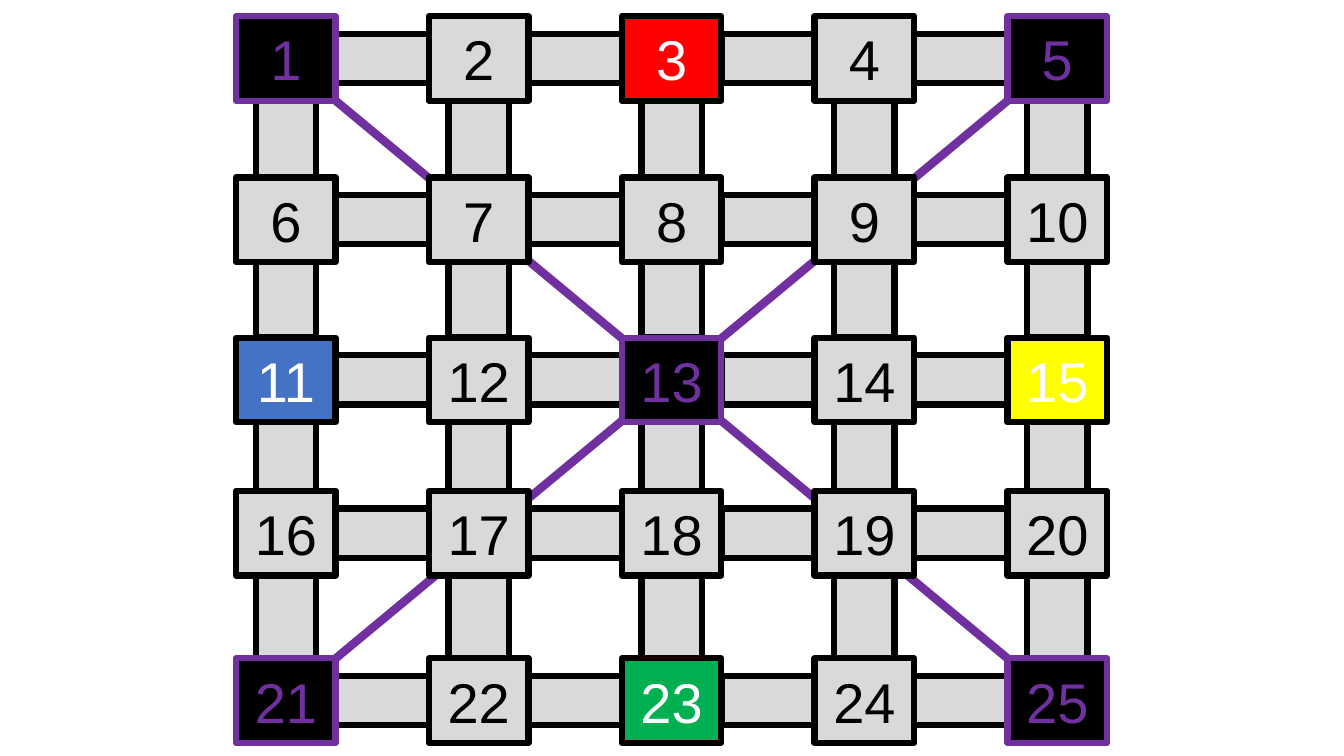
from dataclasses import dataclass
from pptx import Presentation
from pptx.dml.color import RGBColor
from pptx.enum.shapes import MSO_CONNECTOR, MSO_SHAPE
from pptx.enum.text import MSO_ANCHOR, PP_ALIGN
from pptx.oxml.ns import qn
from pptx.util import Cm, Pt
from lxml import etree

RECTANGLE = MSO_SHAPE.RECTANGLE
STRAIGHT = MSO_CONNECTOR.STRAIGHT
MIDDLE = MSO_ANCHOR.MIDDLE
CENTER = PP_ALIGN.CENTER


@dataclass(frozen=True)
class Theme:
    font: str = "Arial"
    size: float = 40
    outline: float = 4.5
    passage: float = 6
    floor: str = "D9D9D9"
    black: str = "000000"
    white: str = "FFFFFF"
    purple: str = "7030A0"
    red: str = "FF0000"
    blue: str = "4472C4"
    yellow: str = "FFFF00"
    green: str = "00B050"


THEME = Theme()

ROOMS = [
    [1, 2, 3, 4, 5],
    [6, 7, 8, 9, 10],
    [11, 12, 13, 14, 15],
    [16, 17, 18, 19, 20],
    [21, 22, 23, 24, 25],
]
START_ROOMS = {3: THEME.red, 11: THEME.blue, 15: THEME.yellow, 23: THEME.green}
SECRET_ROOMS = {1, 5, 13, 21, 25}

ROOM_WIDTH, ROOM_HEIGHT = 2.51, 2.13
HALL_WIDTH, HALL_HEIGHT = 1.52, 1.24
COLUMNS = [5.95 + 4.86 * column for column in range(5)]
ROWS = [0.41, 4.47, 8.51, 12.37, 16.59]

deck = Presentation()
deck.slide_width, deck.slide_height = Cm(33.87), Cm(19.05)
board = deck.slides.add_slide(deck.slide_layouts[6]).shapes


def write(tile, text, *, color, size=THEME.size, font=THEME.font):
    frame = tile.text_frame
    frame.vertical_anchor = MIDDLE
    label = frame.paragraphs[0]
    label.text = text
    label.alignment = CENTER
    label.font.name = font
    label.font.size = Pt(size)
    label.font.color.rgb = RGBColor.from_string(color)


def add_tile(left, top, width, height, fill=THEME.floor, outline=THEME.black):
    tile = board.add_shape(RECTANGLE, Cm(left), Cm(top), Cm(width), Cm(height))
    tile.shadow.inherit = False
    tile.fill.solid()
    tile.fill.fore_color.rgb = RGBColor.from_string(fill)
    tile.line.color.rgb = RGBColor.from_string(outline)
    tile.line.width = Pt(THEME.outline)
    return tile


def add_passage(x1, y1, x2, y2):
    passage = board.add_connector(STRAIGHT, Cm(x1), Cm(y1), Cm(x2), Cm(y2))
    passage.line.color.rgb = RGBColor.from_string(THEME.purple)
    passage.line.width = Pt(THEME.passage)
    etree.SubElement(passage._element.spPr, qn("a:effectLst"))


def add_rooms(secret):
    for top, numbers in zip(ROWS, ROOMS):
        for left, number in zip(COLUMNS, numbers):
            if (number in SECRET_ROOMS) != secret:
                continue
            if secret:
                fill, outline, color = THEME.black, THEME.purple, THEME.purple
            else:
                fill = START_ROOMS.get(number, THEME.floor)
                outline = THEME.black
                color = THEME.white if number in START_ROOMS else THEME.black
            room = add_tile(left, top, ROOM_WIDTH, ROOM_HEIGHT, fill, outline)
            write(room, str(number), color=color)


def add_halls():
    inset_x = (ROOM_WIDTH - HALL_WIDTH) / 2
    inset_y = (ROOM_HEIGHT - HALL_HEIGHT) / 2
    for left in COLUMNS:
        for above, below in zip(ROWS, ROWS[1:]):
            start = above + ROOM_HEIGHT
            add_tile(left + inset_x, start, HALL_WIDTH, below - start)
    for before, after in zip(COLUMNS, COLUMNS[1:]):
        start = before + ROOM_WIDTH
        for top in ROWS:
            add_tile(start, top + inset_y, after - start, HALL_HEIGHT)


inner_left, inner_right = COLUMNS[0] + ROOM_WIDTH, COLUMNS[-1]
inner_top, inner_bottom = ROWS[0] + ROOM_HEIGHT, ROWS[-1]
add_passage(inner_right, inner_bottom, inner_left, inner_top)
add_passage(inner_left, inner_bottom, inner_right, inner_top)
add_rooms(secret=False)
add_halls()
add_rooms(secret=True)

deck.save("out.pptx")
